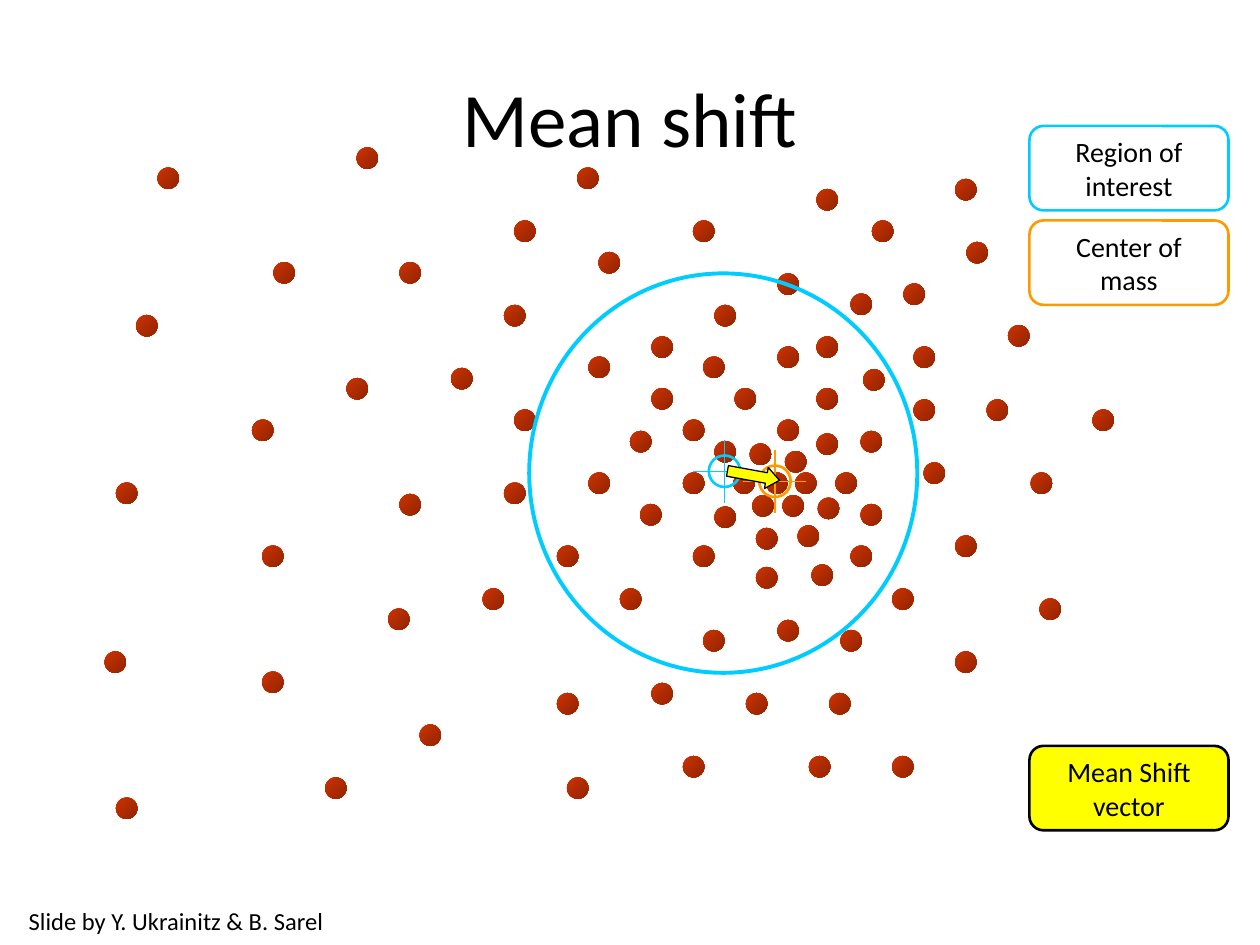
from lxml import etree
from pptx import Presentation
from pptx.dml.color import RGBColor
from pptx.enum.shapes import MSO_CONNECTOR, MSO_SHAPE
from pptx.enum.text import MSO_ANCHOR, PP_ALIGN
from pptx.oxml.ns import qn
from pptx.util import Inches, Pt

OVAL, ROUND, ARROW = MSO_SHAPE.OVAL, MSO_SHAPE.ROUNDED_RECTANGLE, MSO_SHAPE.RIGHT_ARROW
STRAIGHT = MSO_CONNECTOR.STRAIGHT
TOP, MIDDLE = MSO_ANCHOR.TOP, MSO_ANCHOR.MIDDLE
LEFT, CENTER = PP_ALIGN.LEFT, PP_ALIGN.CENTER

COLORS = {
    "text": "000000",
    "region": "00CCFF",
    "mass": "FF9900",
    "vector": "FFFF00",
    "dot_light": "CC3300",
    "dot_dark": "922400",
}

DOT_SIZE = 0.17
DOTS = [
    (6.08, 3.75), (6.31, 3.75), (6.23, 3.58), (5.95, 3.52), (6.21, 3.93), (5.97, 3.93),
    (6.49, 3.95), (5.82, 3.75), (6.63, 3.75), (6.48, 3.44), (6.17, 3.33), (6.33, 4.17),
    (6, 4.19), (5.67, 4.02), (5.42, 3.75), (5.67, 3.5), (6.83, 4), (6.75, 4.33),
    (6.44, 4.48), (6, 4.5), (5.5, 4.33), (5.08, 4), (5, 3.42), (5.42, 3.33),
    (5.83, 3.08), (6.48, 3.08), (6.17, 2.75), (5.17, 3.08), (5.58, 2.83), (6.17, 2.17),
    (5.67, 2.42), (6.48, 2.67), (6.48, 1.5), (6.75, 2.33), (6.85, 2.93), (6.83, 3.42),
    (7.25, 3.17), (7.25, 2.75), (7.17, 2.25), (6.92, 1.75), (7.58, 1.42), (7.67, 1.92),
    (8, 2.58), (7.33, 3.67), (7.83, 3.17), (8.67, 3.25), (7.58, 4.25), (8.18, 3.75),
    (7.08, 4.67), (8.25, 4.75), (7.58, 5.17), (6.67, 5), (6.17, 4.92), (6.58, 5.5),
    (7.08, 6), (6.42, 6), (5.92, 5.5), (5.58, 5), (4.92, 4.67), (5.17, 5.42),
    (5.42, 6), (4.5, 6.17), (4.42, 5.5), (3.83, 4.67), (4.42, 4.33), (4.67, 3.75),
    (4.08, 3.25), (4.67, 2.83), (5.17, 2.67), (4.75, 2), (5.5, 1.75), (4.58, 1.33),
    (4.08, 1.75), (4, 2.42), (3.58, 2.92), (4, 3.83), (3.17, 3.92), (3.08, 4.83),
    (3.33, 5.75), (2.58, 6.17), (2.08, 5.33), (2.08, 4.33), (2.75, 3), (3.17, 2.08),
    (2.17, 2.08), (2, 3.33), (0.83, 5.17), (0.92, 6.33), (0.92, 3.83), (1.08, 2.5),
    (1.25, 1.33), (2.83, 1.17),
]
LABELS = [
    (1, ["Region of", "interest"], "region", None),
    (1.75, ["Center of", "mass"], "mass", None),
    (5.92, ["Mean Shift", "vector"], "text", "vector"),
]


class SlideBuilder:
    """Holds the text style and the current slide, and draws its elements."""

    def __init__(self, prs, font="Calibri"):
        self.s = prs.slides.add_slide(prs.slide_layouts[6])
        self.font = font

    def color(self, name):
        return RGBColor.from_string(COLORS[name])

    def shape(self, kind, box, line=None, width=1.5, fill=None):
        sp = self.s.shapes.add_shape(kind, *map(Inches, box))
        sp.shadow.inherit = False
        if fill:
            sp.fill.solid()
            sp.fill.fore_color.rgb = self.color(fill)
        else:
            sp.fill.background()
        if line:
            sp.line.color.rgb = self.color(line)
            sp.line.width = Pt(width)
        else:
            sp.line.fill.background()
        return sp

    def dot(self, x, y):
        sp = self.shape(OVAL, (x, y, DOT_SIZE, DOT_SIZE))
        sp.fill.gradient()
        sp.fill.gradient_angle = 315
        for stop, name in zip(sp.fill.gradient_stops, ("dot_light", "dot_dark")):
            stop.color.rgb = self.color(name)

    def line(self, x1, y1, x2, y2, color):
        cx = self.s.shapes.add_connector(STRAIGHT, *map(Inches, (x1, y1, x2, y2)))
        cx.line.color.rgb = self.color(color)
        cx.line.width = Pt(0.75)
        etree.SubElement(cx._element.spPr, qn("a:effectLst"))

    def target(self, x, y, color):
        self.shape(OVAL, (x - 0.125, y - 0.125, 0.25, 0.25), color)
        self.line(x, y - 0.25, x, y + 0.25, color)
        self.line(x - 0.25, y, x + 0.25, y, color)

    def fill_text(self, sp, lines, size, align=CENTER, anchor=MIDDLE, wrap=False):
        tf = sp.text_frame
        for name, value in {"word_wrap": wrap, "vertical_anchor": anchor}.items():
            setattr(tf, name, value)
        for i, text in enumerate(lines):
            p = tf.add_paragraph() if i else tf.paragraphs[0]
            p.alignment = align
            r = p.add_run()
            r.text = text
            for name, value in {"name": self.font, "size": Pt(size)}.items():
                setattr(r.font, name, value)
            r.font.color.rgb = self.color("text")

    def label(self, y, lines, line, fill):
        sp = self.shape(ROUND, (8.17, y, 1.58, 0.67), line, fill=fill)
        self.fill_text(sp, lines, 16)

    def arrow(self, box, rotation):
        sp = self.shape(ARROW, box, "text", 0.75, "vector")
        sp.adjustments[1] = 0.625
        sp.rotation = rotation

    def text(self, box, text, size, **fmt):
        sp = self.s.shapes.add_textbox(*map(Inches, box))
        self.fill_text(sp, [text], size, **fmt)


def main():
    prs = Presentation()
    prs.slide_width, prs.slide_height = Inches(10), Inches(7.5)
    b = SlideBuilder(prs)
    for x, y in DOTS:
        b.dot(x, y)
    b.shape(OVAL, (4.2, 2.17, 3.08, 3.17), "region", 2.25)
    b.target(5.75, 3.74, "region")
    for label in LABELS:
        b.label(*label)
    b.target(6.15, 3.82, "mass")
    b.arrow((5.77, 3.69, 0.42, 0.17), 10.3)
    b.text((0.5, 0.3, 9, 1.25), "Mean shift", 44, wrap=True)
    b.text((0.13, 7.14, 2.87, 0.33), "Slide by Y. Ukrainitz & B. Sarel", 14,
           align=LEFT, anchor=TOP)
    prs.save("out.pptx")


if __name__ == "__main__":
    main()
